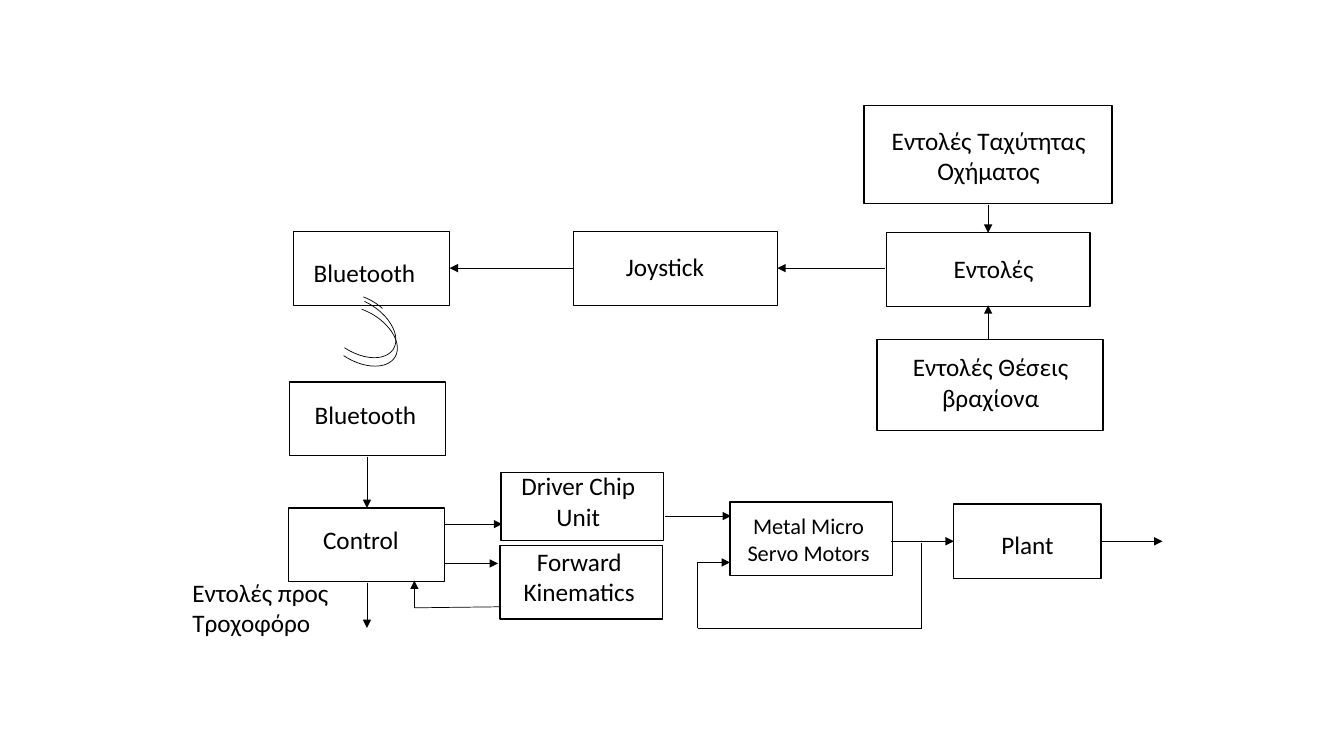
from lxml.etree import SubElement
from pptx import Presentation
from pptx.dml.color import RGBColor
from pptx.enum.shapes import MSO_CONNECTOR, MSO_SHAPE
from pptx.enum.text import PP_ALIGN
from pptx.oxml.ns import qn
from pptx.util import Inches, Pt

INK = "000000"
FONT = "Calibri"

# left, top, width, height
BOXES = [
    (8.57, 1.05, 2.46, 0.97),  # speed commands
    (8.79, 2.31, 2.02, 0.73),  # commands
    (8.7, 3.37, 2.24, 0.9),    # arm commands
    (5.69, 2.3, 2.02, 0.73),   # joystick
    (2.91, 2.3, 1.55, 0.73),   # sender
    (2.87, 3.79, 1.55, 0.73),  # receiver
    (2.86, 5.04, 1.55, 0.73),  # controller
    (4.97, 4.69, 1.61, 0.67),  # driver
    (4.96, 5.41, 1.61, 0.73),  # kinematics
    (7.24, 4.98, 1.61, 0.73),  # motors
    (9.46, 5, 1.46, 0.74),     # plant
]

# text, left, top, width, height, size, alignment
MID, LEFT = PP_ALIGN.CENTER, PP_ALIGN.LEFT
LABELS = [
    ("Εντολές Ταχύτητας Οχήματος", 8.48, 1.19, 2.65, 0.77, 18, MID),
    ("Εντολές", 9.1, 2.46, 1.51, 0.44, 18, MID),
    ("Εντολές Θέσεις βραχίονα", 8.5, 3.44, 2.65, 0.77, 18, MID),
    ("Joystick", 5.85, 2.44, 1.49, 0.44, 18, MID),
    ("Bluetooth", 2.87, 2.5, 1.49, 0.44, 18, MID),
    ("Bluetooth", 2.88, 3.91, 1.49, 0.44, 18, MID),
    ("Control", 2.91, 5.15, 1.34, 0.44, 18, MID),
    ("Driver Chip Unit", 5.03, 4.62, 1.41, 0.77, 18, MID),
    ("Forward Kinematics", 4.94, 5.37, 1.61, 0.77, 18, MID),
    ("Metal Micro Servo Motors", 7.13, 5.03, 1.78, 0.7, 16, MID),
    ("Plant", 9.55, 5.2, 1.28, 0.44, 18, MID),
    ("Εντολές προς Τροχοφόρο", 1.81, 5.68, 2.57, 0.77, 18, LEFT),
]

# Each route runs through its points and ends in an arrowhead
ROUTES = [
    [(9.8, 2.03), (9.8, 2.31)],
    [(9.8, 3.36), (9.8, 3.03)],
    [(8.78, 2.66), (7.71, 2.66)],
    [(5.69, 2.66), (4.46, 2.66)],
    [(3.64, 4.53), (3.64, 5.04)],
    [(3.64, 5.78), (3.64, 6.23)],
    [(4.41, 5.2), (4.98, 5.2)],
    [(4.41, 5.59), (4.94, 5.59)],
    [(4.96, 6.02), (4.11, 6.03), (4.11, 5.76)],
    [(6.6, 5.12), (7.25, 5.12)],
    [(8.84, 5.37), (9.46, 5.37)],
    [(9.14, 5.39), (9.14, 6.23), (6.92, 6.23), (6.92, 5.58), (7.24, 5.58)],
    [(10.91, 5.37), (11.53, 5.37)],
]

# left, top, rotation, start angle, end angle
WAVE_SIZE = (0.5, 0.81)
WAVES = [
    (3.3, 2.79, 116.9, 165.2, 214.15),
    (3.31, 2.84, 122.9, 159.28, 2.13),
    (3.32, 2.93, 120.5, 153.2, 9.48),
]


def color(code):
    return RGBColor.from_string(code)


def outline(kind, place, width):
    """Add an unfilled shape with a thin dark edge."""
    shape = slide.shapes.add_shape(kind, *map(Inches, place))
    shape.shadow.inherit = False
    shape.fill.background()
    shape.line.color.rgb = color(INK)
    shape.line.width = Pt(width)
    return shape


def label(text, x, y, w, h, size, align):
    frame = slide.shapes.add_textbox(*map(Inches, (x, y, w, h))).text_frame
    frame.word_wrap = True
    frame.text = text
    para = frame.paragraphs[0]
    para.alignment = align
    font = para.runs[0].font
    font.name, font.size = FONT, Pt(size)
    font.color.rgb = color(INK)


def link(start, end, arrow):
    line = slide.shapes.add_connector(
        MSO_CONNECTOR.STRAIGHT, *map(Inches, start + end))
    line.line.color.rgb = color(INK)
    line.line.width = Pt(0.5)
    if arrow:
        SubElement(line.line._get_or_add_ln(), qn("a:tailEnd"), type="triangle")
    SubElement(line._element.spPr, qn("a:effectLst"))


deck = Presentation()
deck.slide_width, deck.slide_height = Inches(13.33), Inches(7.5)
slide = deck.slides.add_slide(deck.slide_layouts[6])

for box in BOXES:
    outline(MSO_SHAPE.RECTANGLE, box, 1)

for item in LABELS:
    label(*item)

for route in ROUTES:
    for start, end in zip(route, route[1:]):
        link(start, end, end == route[-1])

for x, y, turn, first, last in WAVES:
    wave = outline(MSO_SHAPE.ARC, (x, y, *WAVE_SIZE), 0.5)
    wave.rotation = turn
    # An adjustment of 1.0 stands for 100000 units of 1/60000 degree
    wave.adjustments[0] = first * 0.6
    wave.adjustments[1] = last * 0.6

deck.save("out.pptx")
